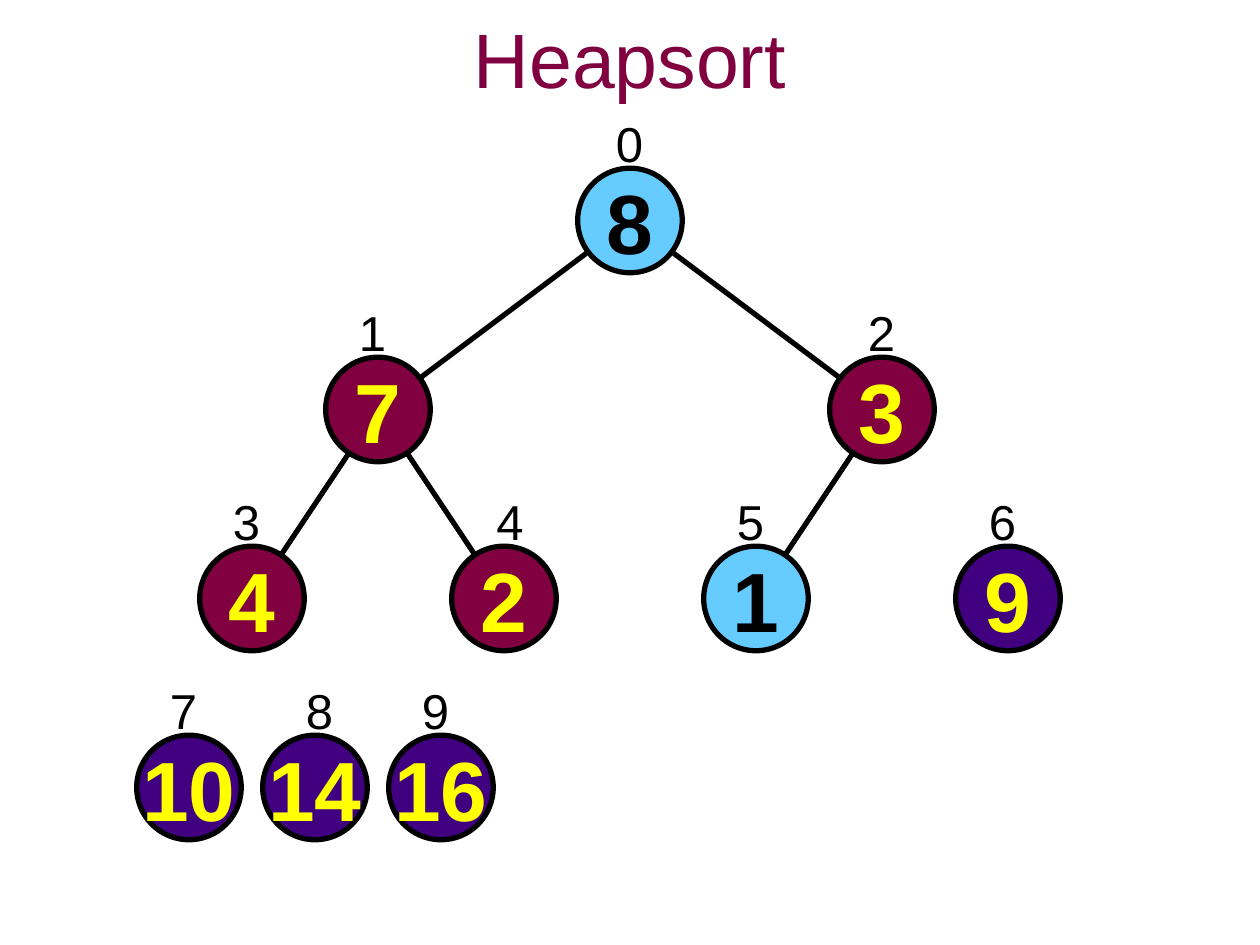
from pptx import Presentation
from pptx.dml.color import RGBColor
from pptx.enum.shapes import MSO_CONNECTOR, MSO_SHAPE
from pptx.enum.text import MSO_ANCHOR, MSO_AUTO_SIZE, PP_ALIGN
from pptx.oxml.ns import qn
from pptx.util import Inches, Pt
from lxml import etree

STRAIGHT = MSO_CONNECTOR.STRAIGHT
OVAL = MSO_SHAPE.OVAL
MIDDLE = MSO_ANCHOR.MIDDLE
NO_FIT, GROW = MSO_AUTO_SIZE.NONE, MSO_AUTO_SIZE.SHAPE_TO_FIT_TEXT
LEFT, CENTER = PP_ALIGN.LEFT, PP_ALIGN.CENTER

COLORS = {
    "black": "000000",
    "yellow": "FFFF00",
    "maroon": "800040",  # still in the heap
    "sky": "66CCFF",     # just swapped
    "purple": "400080",  # already sorted
}
FONT = "Arial"
DIAMETER = 0.83
TOP_Y, LEVEL_GAP = 1.75, 1.5

# Array order: value, centre x, fill, index label's offset from the centre
NODES = [
    (8, 5, "sky", -0.21),
    (7, 3, "maroon", -0.25),
    (3, 7, "maroon", -0.21),
    (4, 2, "maroon", -0.25),
    (2, 4, "maroon", -0.16),
    (1, 6, "sky", -0.25),
    (9, 8, "purple", -0.25),
    (10, 1.5, "purple", -0.25),
    (14, 2.5, "purple", -0.17),
    (16, 3.5, "purple", -0.25),
]
HEAP_SIZE = 6


def rgb(name):
    return RGBColor.from_string(COLORS[name])


def center(index):
    """Centre of a node; its level follows from its array index."""
    level = (index + 1).bit_length() - 1
    return NODES[index][1], TOP_Y + LEVEL_GAP * level


def set_text(tf, text, size, color, bold=False, align=CENTER):
    p = tf.paragraphs[0]
    p.alignment = align
    r = p.add_run()
    r.text = text
    r.font.name = FONT
    r.font.size = Pt(size)
    r.font.bold = bold
    r.font.color.rgb = rgb(color)


def add_title(s, text):
    sp = s.shapes.title
    sp.left, sp.top = Inches(0.75), Inches(0.08)
    sp.width, sp.height = Inches(8.5), Inches(0.75)
    tf = sp.text_frame
    tf.auto_size = NO_FIT
    tf.vertical_anchor = MIDDLE
    set_text(tf, text, 44, "maroon")


def add_edge(s, parent, child):
    ends = [Inches(v) for v in center(parent) + center(child)]
    line = s.shapes.add_connector(STRAIGHT, *ends)
    line.line.color.rgb = rgb("black")
    line.line.width = Pt(3)
    etree.SubElement(line._element.spPr, qn("a:effectLst"))


def add_node(s, index):
    value, _, fill, _ = NODES[index]
    x, y = center(index)
    sp = s.shapes.add_shape(OVAL, Inches(x - DIAMETER / 2), Inches(y - DIAMETER / 2),
                            Inches(DIAMETER), Inches(DIAMETER))
    sp.shadow.inherit = False
    sp.fill.solid()
    sp.fill.fore_color.rgb = rgb(fill)
    sp.line.color.rgb = rgb("black")
    sp.line.width = Pt(3)
    tf = sp.text_frame
    tf.word_wrap = False
    tf.vertical_anchor = MIDDLE
    set_text(tf, str(value), 48, "black" if fill == "sky" else "yellow", bold=True)


def add_index(s, index):
    x, y = center(index)
    box = s.shapes.add_textbox(Inches(x + NODES[index][3]), Inches(y - 0.9),
                               Inches(0.41), Inches(0.57))
    tf = box.text_frame
    tf.word_wrap = False
    tf.auto_size = GROW
    set_text(tf, str(index), 28, "black", align=LEFT)


def main():
    prs = Presentation()
    prs.slide_width, prs.slide_height = Inches(10), Inches(7.5)
    s = prs.slides.add_slide(prs.slide_layouts[5])
    add_title(s, "Heapsort")

    # Edges lie behind the nodes and join only the remaining heap
    for child in range(1, HEAP_SIZE):
        add_edge(s, (child - 1) // 2, child)

    # Nodes with their array indices
    for index in range(len(NODES)):
        add_node(s, index)
        add_index(s, index)

    prs.save("out.pptx")


if __name__ == "__main__":
    main()
